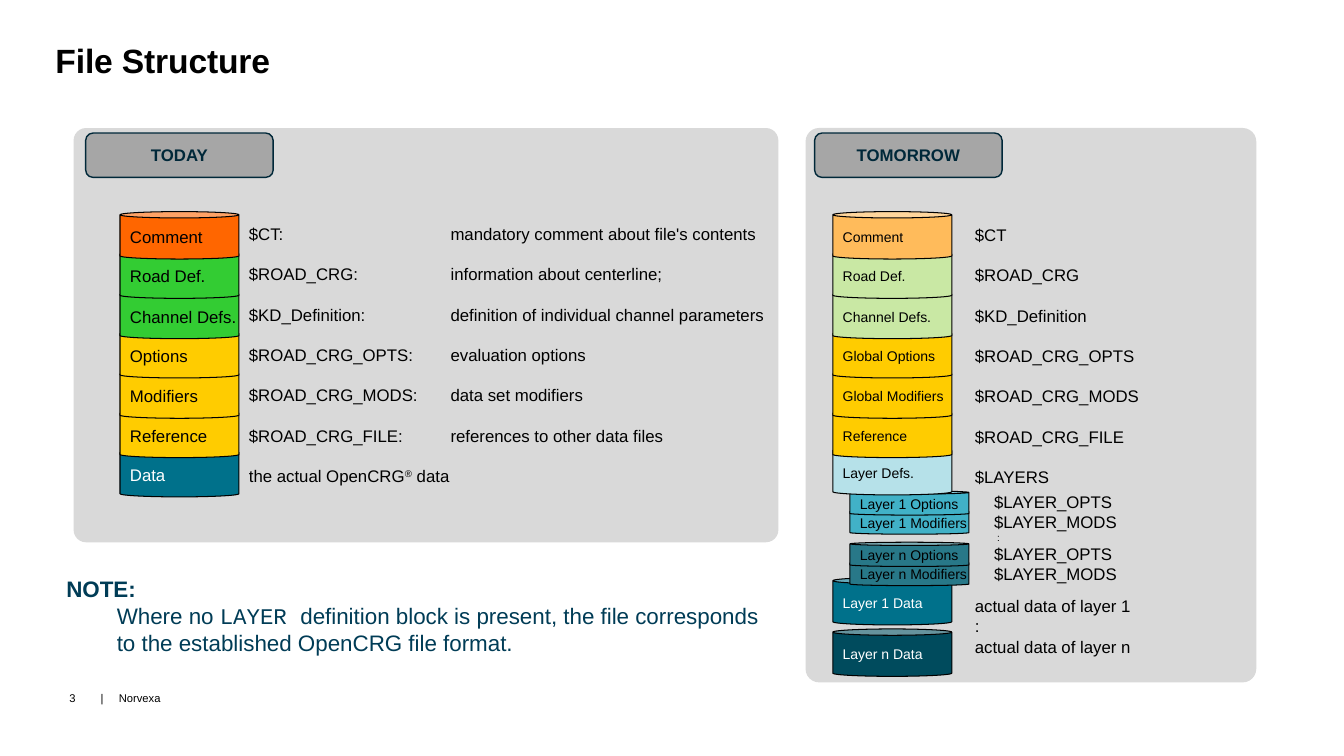
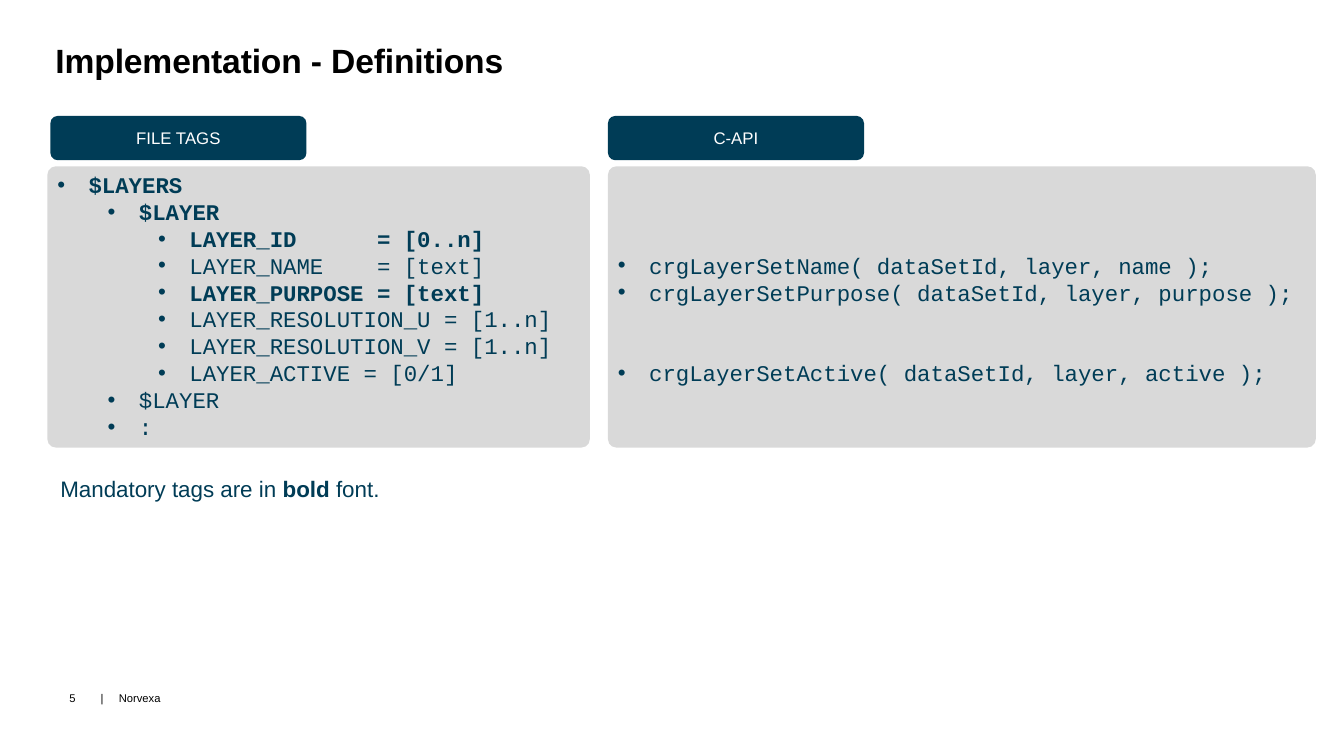
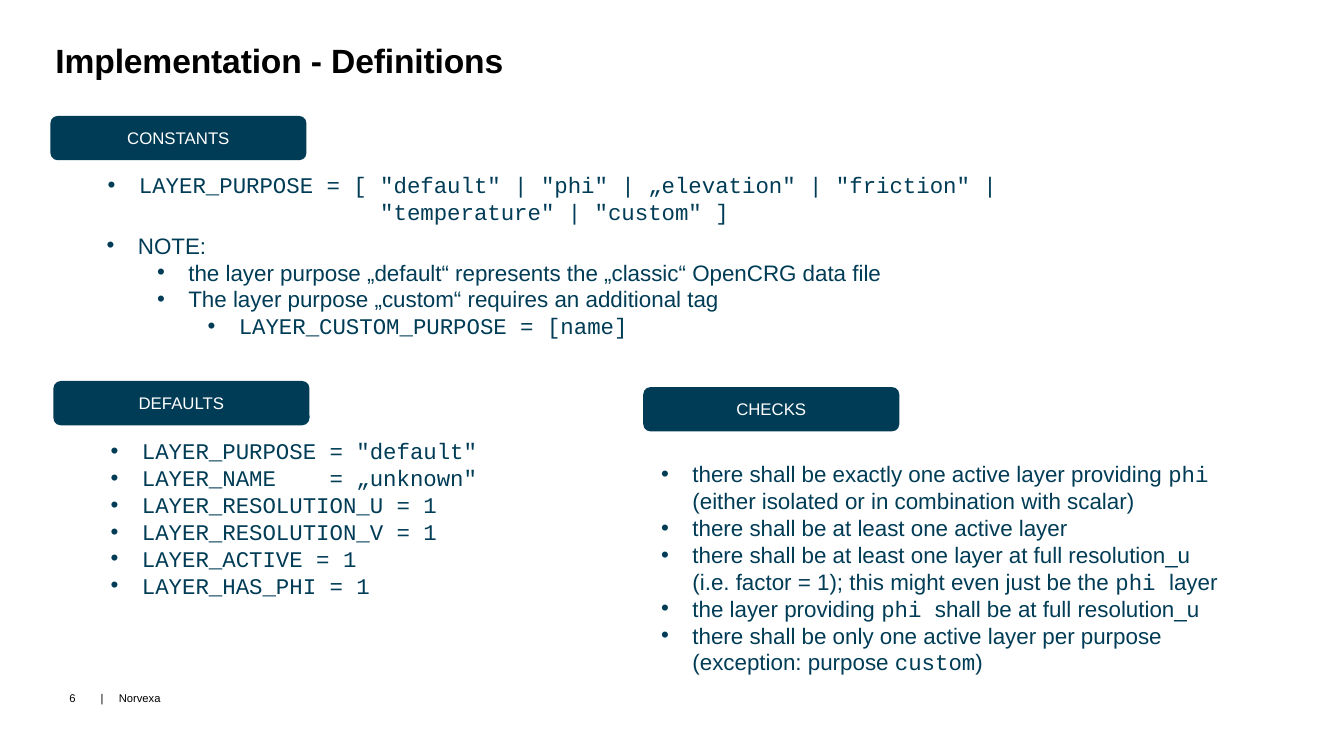
from dataclasses import dataclass

from lxml import etree
from pptx import Presentation
from pptx.dml.color import RGBColor
from pptx.enum.shapes import MSO_SHAPE
from pptx.enum.text import MSO_ANCHOR, PP_ALIGN
from pptx.oxml.ns import qn
from pptx.shapes.autoshape import Shape
from pptx.slide import Slide
from pptx.text.text import TextFrame
from pptx.util import Pt

PX = 9144
ROUND, CAN = MSO_SHAPE.ROUNDED_RECTANGLE, MSO_SHAPE.CAN
TOP, MIDDLE = MSO_ANCHOR.TOP, MSO_ANCHOR.MIDDLE
LEFT, CENTER = PP_ALIGN.LEFT, PP_ALIGN.CENTER
SANS, MONO = "Arial", "Courier New"
BULLET_INDENT, LEVEL_STEP = 31, 50
COLORS = {
    "black": "000000", "white": "FFFFFF", "navy": "003C56", "ink": "002839",
    "panel": "D9D9D9", "grey": "A6A6A6", "orange": "FF6600", "green": "33CC33",
    "yellow": "FFCC00", "blue": "00718B", "peach": "FFBB5B", "lime": "C9E8A4",
    "ice": "B6E1E9", "aqua": "41B1C7", "teal": "287888", "petrol": "004B5D",
}


@dataclass(frozen=True)
class Run:
    text: str
    font: str = SANS
    bold: bool = False
    raised: bool = False


@dataclass(frozen=True)
class Para:
    runs: tuple[Run, ...]
    size: int = 12
    color: str = "black"
    level: int = 0
    bullet: bool = False
    indent: int = 0
    tab: int = 0
    before: float = 0
    spacing: float = 0
    tracking: int = 0
    align: PP_ALIGN = LEFT


@dataclass(frozen=True)
class Box:
    left: int
    top: int
    width: int
    height: int


@dataclass(frozen=True)
class Can:
    label: str
    fill: str
    box: Box
    size: int


@dataclass(frozen=True)
class Tag:
    text: str
    left: int
    top: int


def rgb(name: str) -> RGBColor:
    return RGBColor.from_string(COLORS[name])


def line(text: str, **style) -> Para:
    return Para((Run(text),), **style)


def bullet(*runs: Run, level: int = 0, before: float = 0) -> Para:
    return Para(runs, 16, "navy", level, True, before=before)


def code(text: str, level: int = 0, bold: bool = False, before: float = 0) -> Para:
    return bullet(Run(text, MONO, bold), level=level, before=before)


def write(tf: TextFrame, paras: list[Para]) -> None:
    for i, para in enumerate(paras):
        p = tf.paragraphs[0] if i == 0 else tf.add_paragraph()
        pPr = p._p.get_or_add_pPr()
        indent = para.indent
        if para.bullet:
            indent = BULLET_INDENT + LEVEL_STEP * para.level
            pPr.set("indent", str(-BULLET_INDENT * PX))
            etree.SubElement(pPr, qn("a:buFont"), typeface=SANS)
            etree.SubElement(pPr, qn("a:buChar"), char="•")
        pPr.set("marL", str(indent * PX))
        if para.tab:
            tabs = etree.SubElement(pPr, qn("a:tabLst"))
            etree.SubElement(tabs, qn("a:tab"), pos=str(para.tab * PX), algn="l")
        p.level = para.level
        p.alignment = para.align
        p.line_spacing = Pt(para.spacing or para.size * 1.2)
        p.space_before = Pt(para.before)
        for run in para.runs:
            for n, part in enumerate(run.text.split("\n")):
                if n:
                    p.add_line_break()
                    etree.SubElement(p._p[-1], qn("a:rPr"), sz=str(para.size * 100))
                r = p.add_run()
                r.text = part
                r.font.name, r.font.size = run.font, Pt(para.size)
                r.font.bold = run.bold
                r.font.color.rgb = rgb(para.color)
                if run.raised:
                    r._r.get_or_add_rPr().set("baseline", "30000")
                if para.tracking:
                    r._r.get_or_add_rPr().set("spc", str(para.tracking))


def add_text(s: Slide, box: Box, paras: list[Para], anchor: MSO_ANCHOR = TOP,
             inset: tuple[int, int] = (10, 5)) -> None:
    sp = s.shapes.add_textbox(box.left * PX, box.top * PX, box.width * PX, box.height * PX)
    tf = sp.text_frame
    tf.word_wrap = True
    tf.vertical_anchor = anchor
    tf.margin_left = tf.margin_right = inset[0] * PX
    tf.margin_top = tf.margin_bottom = inset[1] * PX
    write(tf, paras)


def add_shape(s: Slide, kind: MSO_SHAPE, box: Box, fill: str, outline: str = "",
              weight: float = 1, adj: float = 0) -> Shape:
    sp = s.shapes.add_shape(kind, box.left * PX, box.top * PX, box.width * PX, box.height * PX)
    sp.shadow.inherit = False
    sp.fill.solid()
    sp.fill.fore_color.rgb = rgb(fill)
    if outline:
        sp.line.color.rgb = rgb(outline)
        sp.line.width = Pt(weight)
    else:
        sp.line.fill.background()
    if adj:
        sp.adjustments[0] = adj
    sp.text_frame.vertical_anchor = MIDDLE
    return sp


def add_panel(s: Slide, box: Box) -> None:
    add_shape(s, ROUND, box, "panel", adj=0.03)


def add_can(s: Slide, can: Can) -> None:
    sp = add_shape(s, CAN, can.box, can.fill, "black", 0.75, 0.134)
    sp.text_frame.word_wrap = False
    color = "white" if can.label.endswith("Data") else "black"
    write(sp.text_frame, [line(can.label, size=can.size, color=color)])


def add_tag(s: Slide, tag: Tag) -> None:
    sp = add_shape(s, ROUND, Box(tag.left, tag.top, 254, 44), "navy")
    write(sp.text_frame, [line(tag.text, color="white", align=CENTER)])


def add_heading(s: Slide, tag: Tag) -> None:
    sp = add_shape(s, ROUND, Box(tag.left, tag.top, 186, 44), "grey", "ink")
    write(sp.text_frame, [Para((Run(tag.text, bold=True),), color="ink", align=CENTER)])


def new_slide(prs: Presentation, title: str, number: int) -> Slide:
    s = prs.slides.add_slide(prs.slide_layouts[6])
    add_text(s, Box(59, 672, 42, 40), [line(str(number), size=8)], MIDDLE)
    add_text(s, Box(90, 672, 450, 40), [line("|\tNorvexa", size=8, tab=18)], MIDDLE)
    heading = Para((Run(title, bold=True),), 24, spacing=19.5, tracking=-10)
    add_text(s, Box(42, 46, 1252, 54), [heading], inset=(13, 7))
    return s


def can_stack(left: int, size: int, layers: list[tuple[str, str]]) -> list[Can]:
    return [Can(label, fill, Box(left, round(210 + 39.4 * i), 118, 47), size)
            for i, (label, fill) in enumerate(layers)]


def file_structure(prs: Presentation) -> None:
    s = new_slide(prs, "File Structure", 3)
    add_panel(s, Box(799, 127, 447, 550))
    add_panel(s, Box(73, 127, 699, 411))

    today = can_stack(119, 12, [
        ("Comment", "orange"), ("Road Def.", "green"), ("Channel Defs.", "green"),
        ("Options", "yellow"), ("Modifiers", "yellow"), ("Reference", "yellow"),
        ("Data", "blue"),
    ])
    tomorrow = can_stack(826, 10, [
        ("Comment", "peach"), ("Road Def.", "lime"), ("Channel Defs.", "lime"),
        ("Global Options", "yellow"), ("Global Modifiers", "yellow"),
        ("Reference", "yellow"),
    ])
    tomorrow.append(Can("Layer Defs.", "ice", Box(826, 444, 118, 47), 10))
    for layer, top, fill in (("1", 487, "aqua"), ("n", 538, "teal")):
        for i, part in enumerate(("Options", "Modifiers")):
            box = Box(843, top + 19 * i, 118, 24)
            tomorrow.append(Can(f"Layer {layer} {part}", fill, box, 10))
    for layer, top, fill in (("1", 573, "blue"), ("n", 624, "petrol")):
        tomorrow.append(Can(f"Layer {layer} Data", fill, Box(826, top, 118, 47), 10))
    lower, upper = tomorrow[3:], tomorrow[:3]
    for can in lower[::-1] + upper[::-1] + today[::-1]:
        add_can(s, can)
    add_heading(s, Tag("TODAY", 85, 132))
    add_heading(s, Tag("TOMORROW", 808, 132))

    gap = 14.4
    meanings = [
        ("$CT:", "mandatory comment about file's contents"),
        ("$ROAD_CRG:", "information about centerline;"),
        ("$KD_Definition:", "definition of individual channel parameters"),
        ("$ROAD_CRG_OPTS:", "evaluation options"),
        ("$ROAD_CRG_MODS:", "data set modifiers"),
        ("$ROAD_CRG_FILE:", "references to other data files"),
    ]
    rows = [line(f"{key}\t{meaning}", tab=200, before=gap if i else 0)
            for i, (key, meaning) in enumerate(meanings)]
    rows.append(Para((Run("the actual OpenCRG"), Run("®", raised=True), Run(" data")),
                     before=gap))
    add_text(s, Box(237, 217, 535, 273), rows)

    keys = ["$CT", "$ROAD_CRG", "$KD_Definition", "$ROAD_CRG_OPTS",
            "$ROAD_CRG_MODS", "$ROAD_CRG_FILE", "$LAYERS"]
    blocks = [line(key, before=gap if i else 0) for i, key in enumerate(keys)]
    blocks += [
        line("$LAYER_OPTS", indent=19, before=3.6),
        line("$LAYER_MODS", indent=19),
        line(":", size=7, indent=22),
        line("$LAYER_OPTS", indent=19),
        line("$LAYER_MODS", indent=19),
        line("actual data of layer 1", before=8.4),
        line(":"),
        line("actual data of layer n"),
    ]
    add_text(s, Box(957, 218, 268, 443), blocks)

    add_text(s, Box(56, 566, 712, 91), [
        Para((Run("NOTE:", bold=True),), 16, "navy"),
        Para((Run("Where no "), Run("LAYER ", MONO),
              Run("definition block is present, the file corresponds\n"
                  "to the established OpenCRG file format.")),
             16, "navy", level=1, indent=50),
    ])


def tags_and_api(prs: Presentation) -> None:
    s = new_slide(prs, "Implementation - Definitions", 5)
    add_panel(s, Box(603, 165, 702, 279))
    add_panel(s, Box(47, 165, 538, 279))
    add_tag(s, Tag("FILE TAGS", 50, 115))
    add_tag(s, Tag("C-API", 603, 115))
    add_text(s, Box(47, 165, 538, 279), [
        code("$LAYERS", bold=True),
        code("$LAYER", 1, True),
        code("LAYER_ID      = [0..n]", 2, True),
        code("LAYER_NAME    = [text]", 2),
        code("LAYER_PURPOSE = [text]", 2, True),
        code("LAYER_RESOLUTION_U = [1..n]", 2),
        code("LAYER_RESOLUTION_V = [1..n]", 2),
        code("LAYER_ACTIVE = [0/1]", 2),
        code("$LAYER", 1),
        code(":", 1),
    ])
    add_text(s, Box(603, 245, 702, 146), [
        code("crgLayerSetName( dataSetId, layer, name );"),
        code("crgLayerSetPurpose( dataSetId, layer, purpose );"),
        code("crgLayerSetActive( dataSetId, layer, active );", before=38.4),
    ])
    add_text(s, Box(50, 466, 360, 37), [
        Para((Run("Mandatory tags are in "), Run("bold ", bold=True), Run("font.")),
             16, "navy"),
    ])


def constants_and_checks(prs: Presentation) -> None:
    s = new_slide(prs, "Implementation - Definitions", 6)
    for tag in (Tag("CONSTANTS", 50, 115), Tag("DEFAULTS", 53, 378), Tag("CHECKS", 638, 384)):
        add_tag(s, tag)
    add_text(s, Box(47, 165, 980, 64), [
        code('LAYER_PURPOSE = [ "default" | "phi" | „elevation" | "friction" |\n'
             '                  "temperature" | "custom" ]', 1),
    ])
    add_text(s, Box(96, 225, 799, 118), [
        bullet(Run("NOTE:")),
        bullet(Run("the layer purpose „default“ represents the „classic“ OpenCRG data file"),
               level=1),
        bullet(Run("The layer purpose „custom“ requires an additional tag"), level=1),
        code("LAYER_CUSTOM_PURPOSE = [name]", 2),
    ])
    defaults = ['LAYER_PURPOSE = "default"', 'LAYER_NAME    = „unknown"',
                "LAYER_RESOLUTION_U = 1", "LAYER_RESOLUTION_V = 1",
                "LAYER_ACTIVE = 1", "LAYER_HAS_PHI = 1"]
    add_text(s, Box(50, 429, 440, 172), [code(text, 1) for text in defaults])
    phi = Run("phi ", MONO)
    add_text(s, Box(646, 452, 576, 226), [
        bullet(Run("there shall be exactly one active layer providing "), Run("phi", MONO),
               Run("\n(either isolated or in combination with scalar)")),
        bullet(Run("there shall be at least one active layer")),
        bullet(Run("there shall be at least one layer at full resolution_u\n"
                   "(i.e. factor = 1); this might even just be the "), phi, Run("layer")),
        bullet(Run("the layer providing "), phi, Run("shall be at full resolution_u")),
        bullet(Run("there shall be only one active layer per purpose\n"
                   "(exception: purpose "), Run("custom", MONO), Run(")")),
    ])


def main() -> None:
    prs = Presentation()
    prs.slide_width, prs.slide_height = 1333 * PX, 750 * PX
    file_structure(prs)
    tags_and_api(prs)
    constants_and_checks(prs)
    prs.save("out.pptx")


if __name__ == "__main__":
    main()
